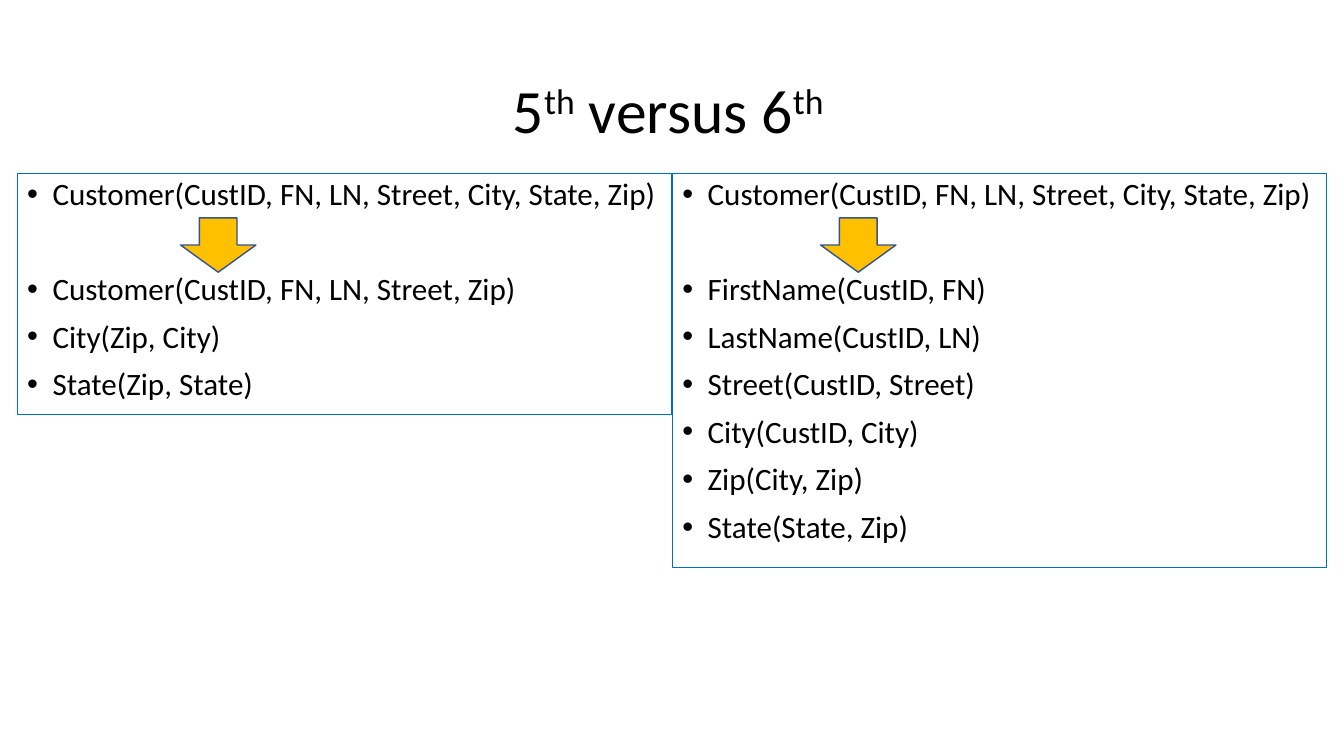
from dataclasses import dataclass

from pptx import Presentation
from pptx import util as u
from pptx.dml.color import RGBColor
from pptx.enum import shapes, text
from pptx.oxml import parse_xml
from pptx.oxml.ns import nsdecls


# Colours and type sizes
@dataclass
class Theme:
    font: str = "Calibri"
    ink: str = "000000"
    frame: str = "0070C0"
    fill: str = "FFC000"
    edge: str = "325491"
    head: float = 44
    body: float = 22.2
    gap: float = 10
    step: float = 44  # space that leaves room for the arrow


class Deck:
    def __init__(self, theme):
        self.theme = theme
        self.prs = Presentation()
        self.prs.slide_width, self.prs.slide_height = u.Cm(33.87), u.Cm(19.05)
        self.slide = self.prs.slides.add_slide(self.prs.slide_layouts[3])

    def place(self, item, left, top, width, height):
        item.left, item.top = u.Cm(left), u.Cm(top)
        item.width, item.height = u.Cm(width), u.Cm(height)

    def line(self, item, color, width):
        item.line.color.rgb = RGBColor.from_string(color)
        item.line.width = u.Pt(width)

    def style(self, run, size):
        run.font.name = self.theme.font
        run.font.size = u.Pt(size)
        run.font.color.rgb = RGBColor.from_string(self.theme.ink)

    def title(self, parts, *box):
        item = self.slide.shapes.title
        self.place(item, *box)
        frame = item.text_frame
        frame.auto_size = text.MSO_AUTO_SIZE.NONE
        frame.vertical_anchor = text.MSO_ANCHOR.MIDDLE
        para = frame.paragraphs[0]
        para.alignment = text.PP_ALIGN.CENTER
        para.line_spacing = 0.9
        for words, raised in parts:
            run = para.add_run()
            run.text = words
            self.style(run, self.theme.head)
            if raised:
                run.font._element.set("baseline", "30000")

    def list(self, index, rows, *box):
        item = self.slide.placeholders[index]
        self.place(item, *box)
        self.line(item, self.theme.frame, 0.75)
        frame = item.text_frame
        frame.text = "\n".join(rows)
        frame.auto_size = text.MSO_AUTO_SIZE.NONE
        for i, para in enumerate(frame.paragraphs):
            para.line_spacing = 0.9
            para.space_before = u.Pt(self.theme.step if i == 1 else self.theme.gap)
            self.bullet(para)
            self.style(para.runs[0], self.theme.body)

    def bullet(self, para):
        props = para._p.get_or_add_pPr()
        indent = u.Cm(0.64)
        props.set("marL", str(indent))
        props.set("indent", str(-indent))
        props.append(parse_xml(f'<a:buFont {nsdecls("a")} typeface="Arial"/>'))
        props.append(parse_xml(f'<a:buChar {nsdecls("a")} char="\u2022"/>'))

    def arrow(self, *box):
        item = self.slide.shapes.add_shape(
            shapes.MSO_SHAPE.DOWN_ARROW, *map(u.Cm, box))
        item.shadow.inherit = False
        item.fill.solid()
        item.fill.fore_color.rgb = RGBColor.from_string(self.theme.fill)
        self.line(item, self.theme.edge, 1)


deck = Deck(Theme())

# Title
deck.title([("5", False), ("th", True), (" versus 6", False), ("th ", True)],
           2.34, 1.02, 29.21, 3.68)

# Each normal form: first the table, then what it splits into
start = "Customer(CustID, FN, LN, Street, City, State, Zip)"
fifth = ["Customer(CustID, FN, LN, Street, Zip)", "City(Zip, City)",
         "State(Zip, State)"]
sixth = ["FirstName(CustID, FN)", "LastName(CustID, LN)",
         "Street(CustID, Street)", "City(CustID, City)",
         "Zip(City, Zip)", "State(State, Zip)"]
forms = [(1, fifth, 0.43, 6.07, 4.55), (2, sixth, 16.94, 9.93, 20.68)]
for index, rows, left, height, tip in forms:
    deck.list(index, [start] + rows, left, 4.37, 16.5, height)
    deck.arrow(tip, 5.49, 1.9, 1.37)

deck.prs.save("out.pptx")
